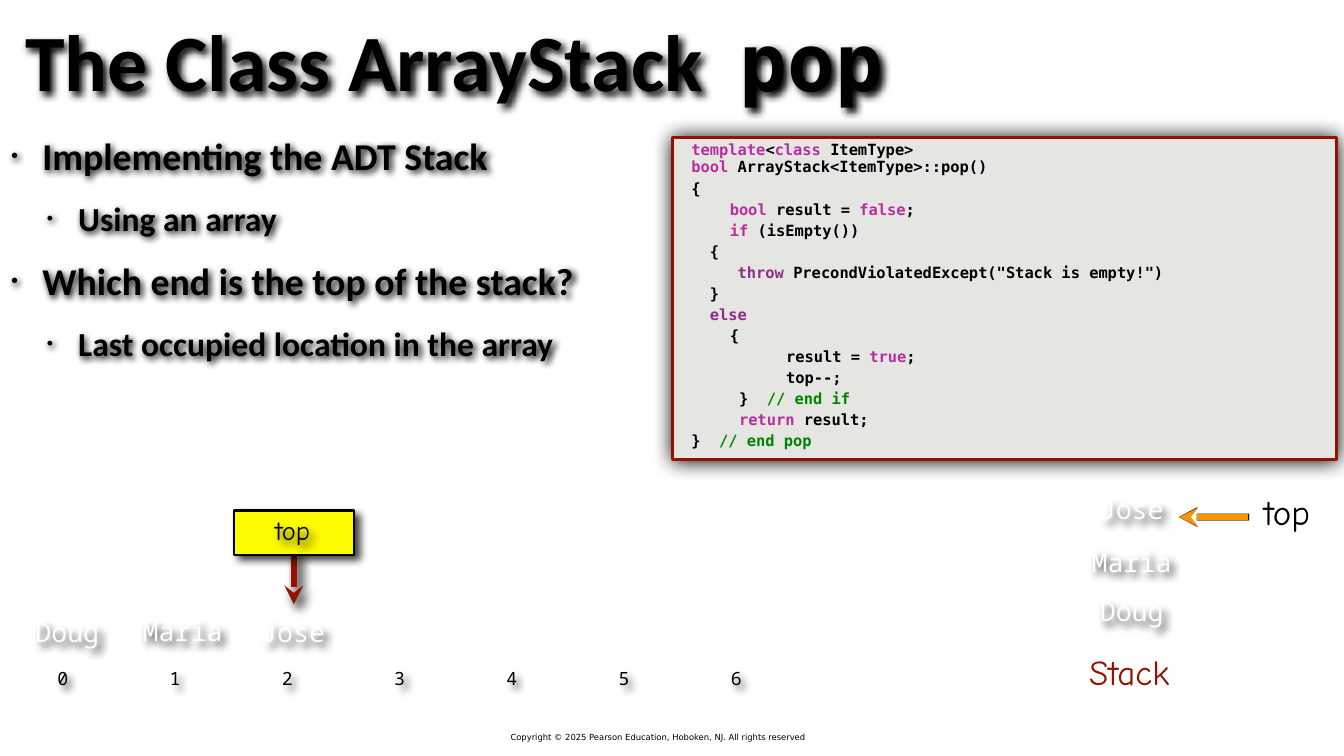
from lxml.etree import SubElement
from pptx import Presentation
from pptx.dml.color import RGBColor
from pptx.enum.shapes import MSO_CONNECTOR as Connector, MSO_SHAPE as Shape
from pptx.enum.text import MSO_ANCHOR as Anchor, MSO_AUTO_SIZE as AutoSize, PP_ALIGN as Align
from pptx.oxml.ns import qn
from pptx.util import Inches, Pt

COLOURS = {
    "black": "000000", "white": "FFFFFF", "red": "941100", "yellow": "FFFB00",
    "orange": "FE9301", "panel": "E5E6E1", "pink": "BB2CA2",
    "purple": "8E2E8E", "green": "008400",
}
KEYWORDS = dict.fromkeys(["template", "class", "bool", "false", "if", "true", "return"], "pink")
KEYWORDS |= dict.fromkeys(["throw", "else"], "purple")
SANS, HAND, MONO, CODE = "Calibri", "Comic Neue", "Noto Sans Mono", "DejaVu Sans Mono"
COLUMNS, ROWS = 80, 45

# Shadows: opacity %, blur pt, distance pt, angle in degrees
TEXT_SHADOW = (75, 12, 9, 45)
TITLE_SHADOW = (100, 10, 6, 45)

BULLETS = [
    (0, "Implementing the ADT Stack"),
    (1, "Using an array"),
    (0, "Which end is the top of the stack?"),
    (1, "Last occupied location in the array"),
]
# A bar separates differently coloured parts of a line
POP_CODE = [
    "template|<|class| ItemType>",
    "bool |ArrayStack<ItemType>::pop()",
    "{",
    "\t|bool| result = |false|;",
    "\t|if| (isEmpty())",
    "  {",
    '     |throw |PrecondViolatedExcept("Stack is empty!")',
    "  }",
    "  |else",
    "\t{",
    "\t\t  result = |true|;",
    "\t\t  top--;",
    "\t }  |// end if",
    "\t |return| result;",
    "}  |// end pop",
]
# Name, centre column, top row
NAMES = [
    ("Doug", 4.1, 36.33), ("Maria", 10.97, 36.27), ("Jose", 17.54, 36.33),
    ("Jose", 67.46, 29.01), ("Maria", 67.46, 32.13), ("Doug", 67.46, 35.07),
]


def colour(name):
    return RGBColor.from_string(COLOURS[name])


def code_colour(part):
    return "green" if part.startswith("//") else KEYWORDS.get(part.strip(), "black")


class StackSlide:
    def __init__(self, deck):
        self.column, self.row = deck.slide_width / COLUMNS, deck.slide_height / ROWS
        self.slide = deck.slides.add_slide(deck.slide_layouts[1])

    def place(self, left, top, width, height):
        return (round(left * self.column), round(top * self.row),
                round(width * self.column), round(height * self.row))

    def move(self, shape, *area):
        shape.left, shape.top, shape.width, shape.height = self.place(*area)

    def shadow(self, shape, style=None):
        """Give the shape an outer shadow, or none at all."""
        effects = SubElement(shape.element.spPr, qn("a:effectLst"))
        if style:
            opacity, blur, distance, angle = style
            outer = SubElement(effects, qn("a:outerShdw"), blurRad=str(Pt(blur)),
                               dist=str(Pt(distance)), dir=str(angle * 60000),
                               algn="tl", rotWithShape="0")
            tint = SubElement(outer, qn("a:srgbClr"), val=COLOURS["black"])
            SubElement(tint, qn("a:alpha"), val=str(opacity * 1000))

    def frame(self, shape, inset=0.08, anchor=Anchor.MIDDLE, wrap=True):
        frame = shape.text_frame
        frame.auto_size, frame.word_wrap, frame.vertical_anchor = AutoSize.NONE, wrap, anchor
        frame.margin_left = frame.margin_right = Inches(inset)
        frame.margin_top = frame.margin_bottom = Inches(inset)
        return frame

    def span(self, paragraph, words, size, font, tint="black", bold=False):
        span = paragraph.add_run()
        span.text = words
        span.font.size, span.font.name, span.font.bold = Pt(size), font, bold
        span.font.color.rgb = colour(tint)

    def label(self, words, area, size, font, tint="black", align=Align.LEFT,
              shadow=None, wrap=False, inset=0.08):
        box = self.slide.shapes.add_textbox(*self.place(*area))
        paragraph = self.frame(box, inset, wrap=wrap).paragraphs[0]
        paragraph.alignment = align
        self.span(paragraph, words, size, font, tint)
        if shadow:
            self.shadow(box, shadow)

    def panel(self, area, fill, line, width, shadow):
        panel = self.slide.shapes.add_shape(Shape.RECTANGLE, *self.place(*area))
        panel.fill.solid()
        panel.fill.fore_color.rgb = colour(fill)
        panel.line.color.rgb, panel.line.width = colour(line), Pt(width)
        self.shadow(panel, shadow)

    def arrow(self, tip, tail, tint, shadow):
        (x1, y1), (x2, y2) = tip, tail
        arrow = self.slide.shapes.add_connector(
            Connector.STRAIGHT, *self.place(x1, y1, x2, y2))
        arrow.line.color.rgb, arrow.line.width = colour(tint), Pt(9)
        SubElement(arrow.line._get_or_add_ln(), qn("a:headEnd"), type="stealth")
        self.shadow(arrow, shadow)

    def title(self, words, method):
        title = self.slide.shapes.title
        self.move(title, 1.26, 0.06, 77.7, 6.99)
        paragraph = self.frame(title).paragraphs[0]
        paragraph.alignment = Align.LEFT
        for part, size, font in [(words, 114, SANS), (" ", 86, CODE), (method, 114, CODE)]:
            self.span(paragraph, part, size, font, bold=True)
        self.shadow(title, TITLE_SHADOW)

    def bullets(self, items):
        body = self.slide.placeholders[1]
        self.move(body, -0.63, 7.68, 54.45, 25.44)
        frame = self.frame(body, anchor=Anchor.TOP)
        for index, (level, words) in enumerate(items):
            paragraph = frame.add_paragraph() if index else frame.paragraphs[0]
            paragraph.level, paragraph.space_before = level, Pt(28 if index else 0)
            properties = paragraph._p.get_or_add_pPr()
            properties.set("marL", str(Inches(0.97 + 0.71 * level)))
            properties.set("indent", str(Inches(-0.62)))
            SubElement(properties, qn("a:buSzPct"), val="53000")
            SubElement(properties, qn("a:buChar"), char="•")
            self.span(paragraph, words, 54 - 6 * level, SANS, bold=True)
        self.shadow(body, TITLE_SHADOW)

    def code(self, lines, area):
        box = self.slide.shapes.add_textbox(*self.place(*area))
        frame = self.frame(box, 0.12, Anchor.TOP)
        for index, line in enumerate(lines):
            paragraph = frame.add_paragraph() if index else frame.paragraphs[0]
            paragraph.line_spacing = 0.9 if index < 2 else 1.1
            paragraph.space_before = Pt(1 if index else 0)
            tabs = SubElement(paragraph._p.get_or_add_pPr(), qn("a:tabLst"))
            for stop in (0.76, 1.51):
                SubElement(tabs, qn("a:tab"), pos=str(Inches(stop)), algn="l")
            for part in line.split("|"):
                self.span(paragraph, part, 22, CODE, code_colour(part), bold=True)


def main():
    deck = Presentation()
    deck.slide_width, deck.slide_height = Inches(26.67), Inches(15)
    page = StackSlide(deck)

    page.title("The Class ArrayStack", "pop")
    page.bullets(BULLETS)
    page.label("Copyright © 2025 Pearson Education, Hoboken, NJ. All rights reserved",
               (30.39, 43.53, 20.31, 0.72), 12, "DejaVu Sans", inset=0)

    for index in range(7):
        page.label(str(index), (3.18 + 6.68 * index, 39.42, 2.01, 1.95), 26, MONO,
                   shadow=TEXT_SHADOW, wrap=True)
    page.arrow((17.49, 35.97), (17.49, 32.7), "red", (100, 16, 12, 51))
    page.panel((13.95, 30.39, 7.14, 2.64), "yellow", "black", 3, TEXT_SHADOW)
    page.label("top", (14.04, 30.27, 6.75, 2.55), 38, HAND, align=Align.CENTER,
               shadow=TEXT_SHADOW, wrap=True)

    page.panel((40.05, 8.19, 39.51, 19.17), "panel", "red", 4, (100, 30, 0, 33))
    page.code(POP_CODE, (40.8, 8.1, 35.82, 19.17))

    page.label("Stack", (63.99, 38.22, 6.45, 3.45), 50, HAND, "red", Align.CENTER)
    page.label("top", (74.7, 28.71, 3.81, 3.45), 50, HAND, align=Align.CENTER)
    page.arrow((70.2, 30.78), (74.31, 30.78), "orange", (100, 1, 0, 51))
    for name, centre, top in NAMES:
        width = 0.63 + 0.96 * len(name)
        page.label(name, (centre - width / 2, top, width, 2.58), 38, MONO, "white",
                   shadow=TEXT_SHADOW)
    deck.save("out.pptx")


if __name__ == "__main__":
    main()
